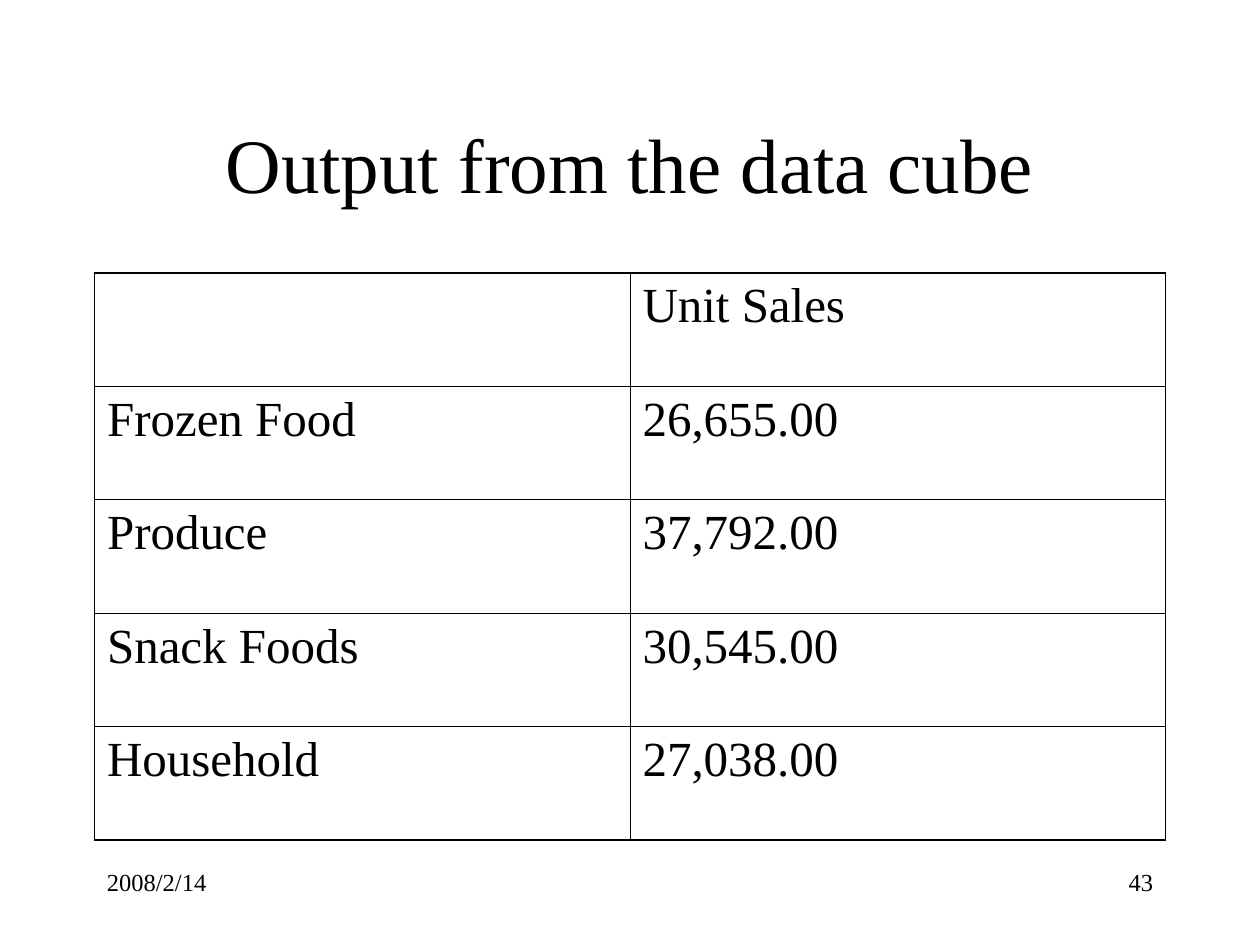
from dataclasses import dataclass

from lxml.etree import SubElement
from pptx import Presentation
from pptx.dml.color import RGBColor
from pptx.enum.text import MSO_ANCHOR, PP_ALIGN
from pptx.oxml.ns import qn
from pptx.util import Emu, Pt


@dataclass
class Theme:
    font: str = "Times New Roman"
    ink: str = "000000"
    title: int = 44
    body: int = 28
    foot: int = 14
    thick: float = 1.08
    thin: float = 0.45


theme = Theme()
PX = 9525  # 96 px to the inch


def style(frame, size, align):
    para = frame.paragraphs[0]
    para.alignment = align
    for run in para.runs:
        run.font.name = theme.font
        run.font.size = Pt(size)
        run.font.color.rgb = RGBColor.from_string(theme.ink)


def edge(cell, side, width):
    """Draw one border of a cell; side is L, R, T or B."""
    line = SubElement(cell._tc.get_or_add_tcPr(), qn(f"a:ln{side}"), w=str(Pt(width)))
    fill = SubElement(line, qn("a:solidFill"))
    SubElement(fill, qn("a:srgbClr"), val=theme.ink)


deck = Presentation()
deck.slide_width, deck.slide_height = Emu(960 * PX), Emu(720 * PX)
slide = deck.slides.add_slide(deck.slide_layouts[6])

# Title, date and page number
labels = [
    ("Output from the data cube", (72, 64, 816, 120), theme.title, PP_ALIGN.CENTER, MSO_ANCHOR.MIDDLE),
    ("2008/2/14", (72, 656, 200, 48), theme.foot, PP_ALIGN.LEFT, MSO_ANCHOR.TOP),
    ("43", (688, 656, 200, 48), theme.foot, PP_ALIGN.RIGHT, MSO_ANCHOR.TOP),
]
for text, place, size, align, anchor in labels:
    frame = slide.shapes.add_textbox(*(Emu(n * PX) for n in place)).text_frame
    frame.word_wrap = True
    frame.vertical_anchor = anchor
    frame.text = text
    style(frame, size, align)

# Sales table
sales = [
    ("", "Unit Sales"),
    ("Frozen Food", "26,655.00"),
    ("Produce", "37,792.00"),
    ("Snack Foods", "30,545.00"),
    ("Household", "27,038.00"),
]
place = (72, 208, 816, 432)
table = slide.shapes.add_table(len(sales), 2, *(Emu(n * PX) for n in place)).table
table.first_row = table.horz_banding = False
for r, row in enumerate(sales):
    for c, text in enumerate(row):
        cell = table.cell(r, c)
        cell.text = text
        style(cell.text_frame, theme.body, PP_ALIGN.LEFT)
        outer = {"L": c == 0, "R": c == 1, "T": r == 0, "B": r == len(sales) - 1}
        for side, thick in outer.items():
            edge(cell, side, theme.thick if thick else theme.thin)
        cell.fill.background()

deck.save("out.pptx")
